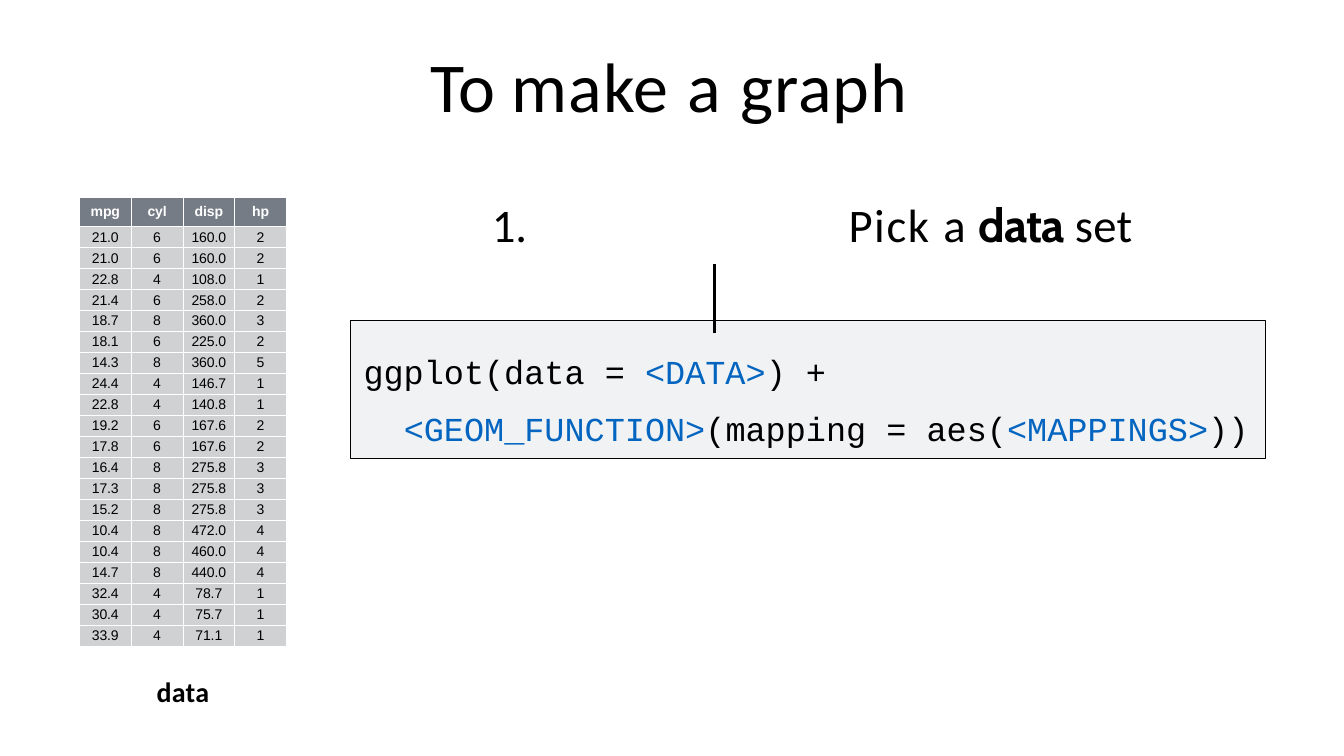
import pptx
import pptx.dml.color
import pptx.enum.shapes
import pptx.enum.text
import pptx.oxml
import pptx.oxml.ns
import pptx.util
from lxml import etree

Pt = pptx.util.Pt
ALIGN = pptx.enum.text.PP_ALIGN
ANCHOR = pptx.enum.text.MSO_ANCHOR

# Content: runs are (text, letter spacing in points, font changes)
TITLE = [("To ", -0.1, {}), ("make ", 1.5, {}), ("a ", 2, {}), ("graph", 1.3, {})]
STEP = [("1.\t", -0.3, {}), ("Pick ", 2, {}), ("a ", 1.4, {}),
        ("data ", -0.9, {"name": "Cabin", "bold": True}), ("set", 0.4, {})]
LABEL = [("data", 0.4, {})]
BLUE = {"color": "slot"}
CODE = [
    [("ggplot(data = ", 0, {}), ("<DATA>", 0, BLUE), (") +", 0, {})],
    [("<GEOM_FUNCTION>", 0, BLUE), ("(mapping = aes(", 0, {}),
     ("<MAPPINGS>", 0, BLUE), ("))", 0, {})],
]
CARS = [
    ("mpg", "cyl", "disp", "hp"),
    ("21.0", "6", "160.0", "2"),
    ("21.0", "6", "160.0", "2"),
    ("22.8", "4", "108.0", "1"),
    ("21.4", "6", "258.0", "2"),
    ("18.7", "8", "360.0", "3"),
    ("18.1", "6", "225.0", "2"),
    ("14.3", "8", "360.0", "5"),
    ("24.4", "4", "146.7", "1"),
    ("22.8", "4", "140.8", "1"),
    ("19.2", "6", "167.6", "2"),
    ("17.8", "6", "167.6", "2"),
    ("16.4", "8", "275.8", "3"),
    ("17.3", "8", "275.8", "3"),
    ("15.2", "8", "275.8", "3"),
    ("10.4", "8", "472.0", "4"),
    ("10.4", "8", "460.0", "4"),
    ("14.7", "8", "440.0", "4"),
    ("32.4", "4", "78.7", "1"),
    ("30.4", "4", "75.7", "1"),
    ("33.9", "4", "71.1", "1"),
]
COLORS = {"text": "000000", "slot": "0365C0", "panel": "F0F2F4",
          "header": "767C85", "row": "D0D1D2", "white": "FFFFFF"}

# Layout in points
SLIDE_WIDTH, SLIDE_HEIGHT = 1583.3, 890.6
TABLE_LEFT, TABLE_TOP, COLUMN_WIDTH = 93.6, 232.6, 61
HEADER_HEIGHT, ROW_HEIGHT = 34.6, 24.7
PANEL_LEFT, PANEL_TOP, PANEL_WIDTH, PANEL_HEIGHT = 413.3, 377.3, 1077.1, 163
CODE_SIZE = 39.5
STEP_TAB = 420


def rgb(name):
    return pptx.dml.color.RGBColor.from_string(COLORS[name])


def set_font(font, name, size, color="text", bold=False):
    font.name, font.size, font.bold = name, Pt(size), bold
    font.color.rgb = rgb(color)


def add_runs(paragraph, runs):
    for text, spacing, changes in runs:
        run = paragraph.add_run()
        run.text = text
        if "name" in changes:
            run.font.name = changes["name"]
        if "bold" in changes:
            run.font.bold = changes["bold"]
        if "color" in changes:
            run.font.color.rgb = rgb(changes["color"])
        if spacing:
            run._r.get_or_add_rPr().set("spc", str(round(spacing * 100)))


def prepare_frame(frame, left=0, top=0):
    frame.word_wrap = True
    frame.auto_size = pptx.enum.text.MSO_AUTO_SIZE.NONE
    frame.vertical_anchor = ANCHOR.TOP
    frame.margin_left, frame.margin_top = Pt(left), Pt(top)
    frame.margin_right = frame.margin_bottom = 0


def add_text(slide, left, top, width, height):
    box = slide.shapes.add_textbox(Pt(left), Pt(top), Pt(width), Pt(height))
    prepare_frame(box.text_frame)
    return box.text_frame.paragraphs[0]


def set_borders(cell):
    properties = cell._tc.get_or_add_tcPr()
    for index, side in enumerate(("lnL", "lnR", "lnT", "lnB")):
        properties.insert(index, pptx.oxml.parse_xml(
            f'<a:{side} {pptx.oxml.ns.nsdecls("a")} w="12700"><a:solidFill>'
            f'<a:srgbClr val="{COLORS["white"]}"/></a:solidFill></a:{side}>'))


presentation = pptx.Presentation()
presentation.slide_width, presentation.slide_height = Pt(SLIDE_WIDTH), Pt(SLIDE_HEIGHT)
slide = presentation.slides.add_slide(presentation.slide_layouts[5])

# Title
title = slide.shapes.title
title.left, title.top, title.width, title.height = Pt(507.6), Pt(50), Pt(580), Pt(101)
prepare_frame(title.text_frame)
paragraph = title.text_frame.paragraphs[0]
paragraph.alignment = ALIGN.LEFT
set_font(paragraph.font, "Calibri", 82.5)
add_runs(paragraph, TITLE)

# Step heading, with a tab after its number
paragraph = add_text(slide, 579.6, 231, 895, 68)
tabs = etree.SubElement(paragraph._p.get_or_add_pPr(), pptx.oxml.ns.qn("a:tabLst"))
etree.SubElement(tabs, pptx.oxml.ns.qn("a:tab"), pos=str(Pt(STEP_TAB)), algn="l")
set_font(paragraph.font, "Calibri", 55)
add_runs(paragraph, STEP)

# Code panel
panel = slide.shapes.add_shape(
    pptx.enum.shapes.MSO_SHAPE.RECTANGLE,
    Pt(PANEL_LEFT), Pt(PANEL_TOP), Pt(PANEL_WIDTH), Pt(PANEL_HEIGHT))
panel.shadow.inherit = False
panel.fill.solid()
panel.fill.fore_color.rgb = rgb("panel")
panel.line.color.rgb = rgb("text")
panel.line.width = Pt(0.82)
frame = panel.text_frame
prepare_frame(frame, left=15, top=36)
for index, runs in enumerate(CODE):
    paragraph = frame.add_paragraph() if index else frame.paragraphs[0]
    paragraph.alignment = ALIGN.LEFT
    if index:
        paragraph.space_before = Pt(20)
        # Two characters of code indent, each 0.6 em wide
        paragraph._p.get_or_add_pPr().set("marL", str(Pt(2 * 0.6 * CODE_SIZE)))
    set_font(paragraph.font, "Courier New", CODE_SIZE)
    add_runs(paragraph, runs)

# Pointer from the step to the code
pointer = slide.shapes.add_connector(
    pptx.enum.shapes.MSO_CONNECTOR.STRAIGHT, Pt(841.7), Pt(392.4), Pt(841.7), Pt(311))
pointer.line.color.rgb = rgb("text")
pointer.line.width = Pt(3.3)
etree.SubElement(pointer._element.spPr, pptx.oxml.ns.qn("a:effectLst"))

# Data table
column_count = len(CARS[0])
table_width = COLUMN_WIDTH * column_count
table_height = HEADER_HEIGHT + ROW_HEIGHT * (len(CARS) - 1)
table = slide.shapes.add_table(
    len(CARS), column_count, Pt(TABLE_LEFT), Pt(TABLE_TOP),
    Pt(table_width), Pt(table_height)).table
for column in table.columns:
    column.width = Pt(COLUMN_WIDTH)
for row_index, values in enumerate(CARS):
    is_header = row_index == 0
    table.rows[row_index].height = Pt(HEADER_HEIGHT if is_header else ROW_HEIGHT)
    for column_index, value in enumerate(values):
        cell = table.cell(row_index, column_index)
        cell.margin_left = cell.margin_right = cell.margin_top = cell.margin_bottom = 0
        cell.vertical_anchor = ANCHOR.MIDDLE
        cell.fill.solid()
        cell.fill.fore_color.rgb = rgb("header" if is_header else "row")
        set_borders(cell)
        paragraph = cell.text_frame.paragraphs[0]
        paragraph.alignment = ALIGN.CENTER
        set_font(paragraph.font, "Arial", 16.5, "white" if is_header else "text", is_header)
        add_runs(paragraph, [(value, -0.1 if len(value) > 1 else 0, {})])

# Table label
paragraph = add_text(slide, TABLE_LEFT, 794, table_width, 42)
paragraph.alignment = ALIGN.CENTER
set_font(paragraph.font, "Calibri", 33, bold=True)
add_runs(paragraph, LABEL)

presentation.save("out.pptx")
